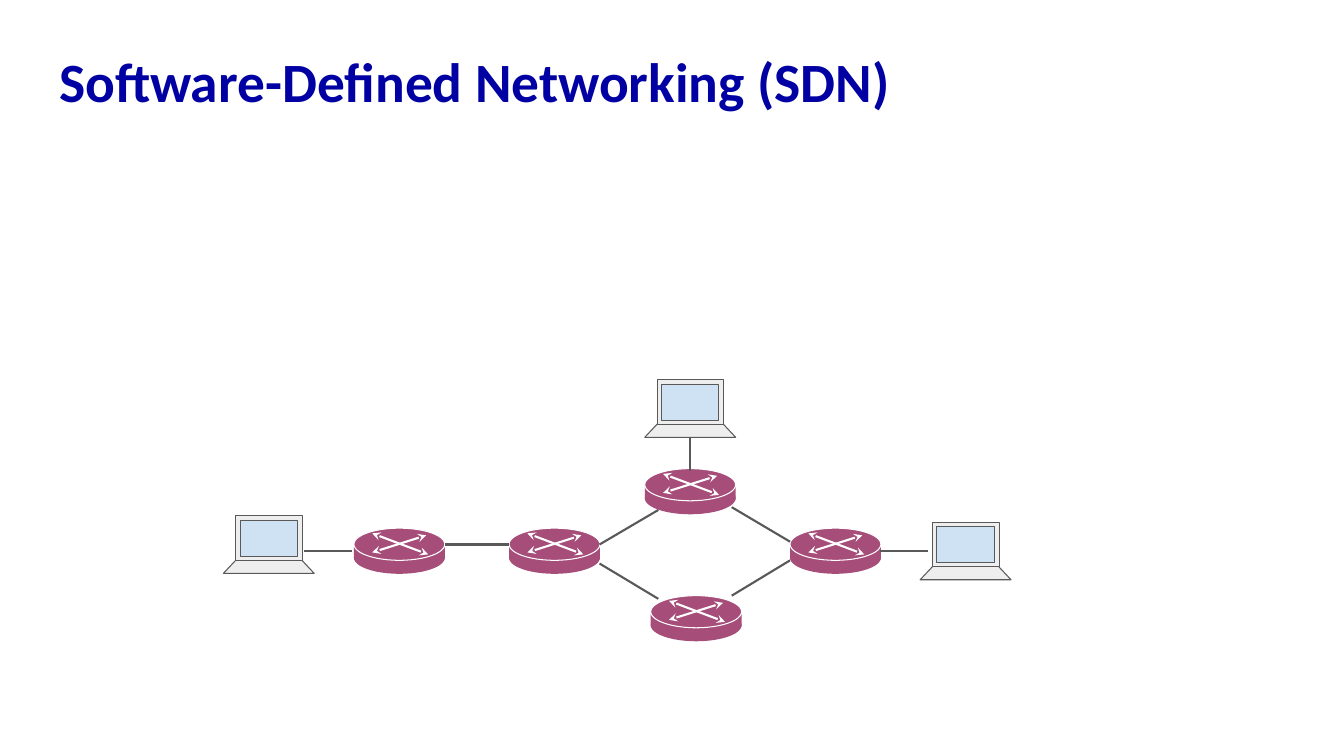
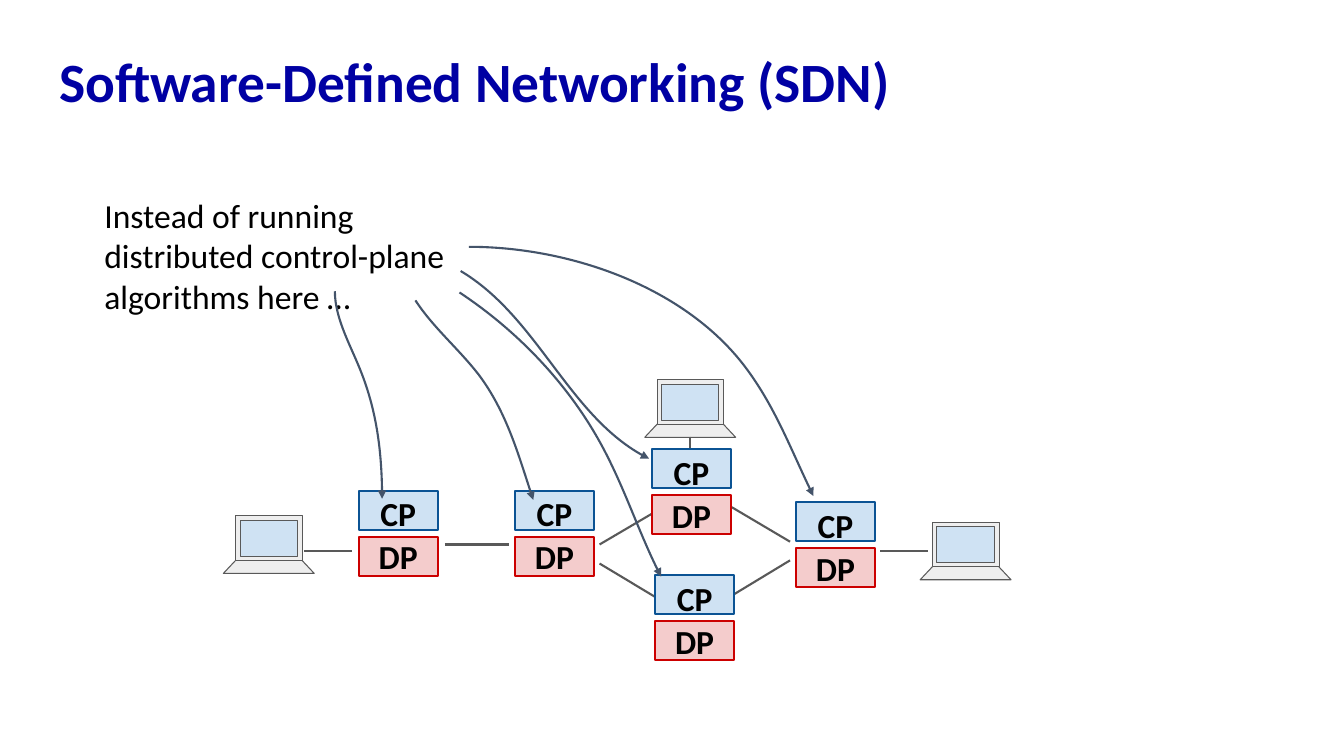
from lxml import etree
from pptx import Presentation
from pptx.dml.color import RGBColor
from pptx.enum.shapes import MSO_CONNECTOR, MSO_SHAPE
from pptx.enum.text import MSO_ANCHOR, MSO_AUTO_SIZE, PP_ALIGN
from pptx.oxml.ns import qn
from pptx.util import Cm, Pt

RECTANGLE = MSO_SHAPE.RECTANGLE
ROUNDED = MSO_SHAPE.ROUNDED_RECTANGLE
ELLIPSE = MSO_SHAPE.OVAL
TRIANGLE = MSO_SHAPE.ISOSCELES_TRIANGLE
STRAIGHT = MSO_CONNECTOR.STRAIGHT
MIDDLE, TOP = MSO_ANCHOR.MIDDLE, MSO_ANCHOR.TOP
LEFT, CENTER = PP_ALIGN.LEFT, PP_ALIGN.CENTER
NO_AUTOFIT = MSO_AUTO_SIZE.NONE
TITLE_ONLY = 5

FONT = "Calibri"
COLORS = {
    "title": "0000A3", "text": "000000", "white": "FFFFFF",
    "router": "A64D79", "link": "595959", "arrow": "44546A",
    "laptop": "EEEEEE", "blue": "CFE2F3", "blue_line": "0B5394",
    "red": "F4CCCC", "red_line": "CC0000",
}

# Content: all lengths in centimetres
TITLE = "Software-Defined Networking (SDN)"
TITLE_BOX = (1.16, 1.06, 31.55, 2.13)
NOTE = "Instead of running distributed control-plane algorithms here …"
NOTE_BOX = (2.3, 4.58, 9.91, 3.76)
INSET = 0.33

ROUTERS = [(12.83, 13.31), (16.25, 11.81), (16.4, 15.01),
           (19.91, 13.31), (8.92, 13.31)]
LAPTOPS = [(5.63, 13.0), (16.25, 9.57), (23.19, 13.16)]
LINKS = [
    (11.21, 13.72, 12.83, 13.72), (15.11, 13.72, 16.59, 12.85),
    (16.59, 15.09, 15.11, 14.2), (19.91, 13.65, 18.44, 12.78),
    (18.44, 15.01, 19.91, 14.12), (7.67, 13.89, 8.86, 13.89),
    (17.39, 11.0, 17.39, 11.86), (22.18, 13.89, 23.38, 13.89),
]
PLANE_STACKS = [(9.04, 12.37), (12.98, 12.37), (16.43, 11.32),
                (16.51, 14.5), (20.06, 12.66)]

# Parts of one device: preset, offset and size, then colours
ROUTER_PARTS = [
    (ELLIPSE, (0, 0.34, 2.29, 0.81), "router", None),
    (ROUNDED, (0, 0.41, 2.29, 0.41), "router", None),
    (ELLIPSE, (0, 0, 2.29, 0.81), "router", "white"),
]
ROUTER_ARROWS = [(1.87, 0.66, 0.46, 0.13), (1.82, 0.18, 0.46, 0.61)]
LAPTOP_PARTS = [
    (TRIANGLE, (0, 0.23, 2.29, 1.22), "laptop", "link"),
    (RECTANGLE, (0.31, 0, 1.68, 1.12), "laptop", "link"),
    (RECTANGLE, (0.42, 0.11, 1.45, 0.91), "blue", "link"),
]
# Label, offset from the stack top, fill, outline, line spacing
PLANES = [("DP", 1.16, "red", "red_line", 1.0),
          ("CP", 0, "blue", "blue_line", 1.15)]
PLANE_SIZE = (1.99, 0.98)

# Bezier curves: a start, then two control points and an end per piece
CURVES = [
    [(11.82, 6.22), (14.38, 6.22), (17.3, 7.24), (18.82, 9.3),
     (19.53, 10.26), (19.96, 11.4), (20.5, 12.5)],
    [(11.61, 6.83), (13.54, 7.98), (14.35, 10.57), (16.36, 11.56)],
    [(11.58, 7.37), (13.03, 8.33), (14.3, 9.65), (15.14, 11.18),
     (15.72, 12.24), (16.1, 13.44), (16.66, 14.53)],
    [(10.47, 7.57), (10.92, 8.26), (11.56, 8.79), (12.07, 9.45),
     (12.75, 10.36), (13.08, 11.51), (13.44, 12.6)],
    [(8.44, 7.34), (8.44, 8.05), (8.86, 8.74), (9.12, 9.42),
     (9.5, 10.41), (9.63, 11.51), (9.63, 12.57)],
]


def color(name):
    return RGBColor.from_string(COLORS[name])


def lengths(values):
    return [Cm(value) for value in values]


def write_text(shape, text, size=24, ink="text", bold=False, align=LEFT,
               anchor=TOP, spacing=1.0):
    frame = shape.text_frame
    frame.word_wrap = True
    frame.auto_size = NO_AUTOFIT
    frame.vertical_anchor = anchor
    frame.margin_left = frame.margin_right = Cm(INSET)
    frame.margin_top = frame.margin_bottom = Cm(INSET)
    paragraph = frame.paragraphs[0]
    paragraph.alignment = align
    paragraph.line_spacing = spacing
    run = paragraph.add_run()
    run.text = text
    run.font.name = FONT
    run.font.size = Pt(size)
    run.font.bold = bold
    run.font.color.rgb = color(ink)


def style_line(line, ink, width, head=None, tail=None):
    line.color.rgb = color(ink)
    line.width = Pt(width)
    for tag, arrowhead in (("a:headEnd", head), ("a:tailEnd", tail)):
        if arrowhead:
            end = etree.SubElement(line._get_or_add_ln(), qn(tag))
            end.set("type", arrowhead)


def add_box(shapes, preset, box, fill, outline=None, width=0.75):
    shape = shapes.add_shape(preset, *lengths(box))
    shape.shadow.inherit = False
    shape.fill.solid()
    shape.fill.fore_color.rgb = color(fill)
    if outline:
        style_line(shape.line, outline, width)
    else:
        shape.line.fill.background()
    return shape


def add_line(shapes, ends, ink, arrowhead=None):
    connector = shapes.add_connector(STRAIGHT, *lengths(ends))
    style_line(connector.line, ink, 1.5, arrowhead, arrowhead)
    etree.SubElement(connector._element.spPr, qn("a:effectLst"))


def add_device(slide, left, top, parts, arrows=()):
    shapes = slide.shapes.add_group_shape().shapes
    for preset, (x, y, width, height), fill, outline in parts:
        add_box(shapes, preset, (left + x, top + y, width, height), fill, outline)
    for x1, y1, x2, y2 in arrows:
        ends = (left + x1, top + y1, left + x2, top + y2)
        add_line(shapes, ends, "white", "stealth")


def add_plane_stack(slide, left, top):
    shapes = slide.shapes.add_group_shape().shapes
    for label, offset, fill, outline, spacing in PLANES:
        box = (left, top + offset, *PLANE_SIZE)
        plane = add_box(shapes, RECTANGLE, box, fill, outline, 1.5)
        write_text(plane, label, bold=True, align=CENTER, anchor=MIDDLE,
                   spacing=spacing)


def add_curve(slide, controls):
    start, end = lengths(controls[0]), lengths(controls[-1])
    builder = slide.shapes.build_freeform(*start)
    builder.add_line_segments([end], close=False)
    curve = builder.convert_to_shape()
    curve.shadow.inherit = False
    curve.fill.background()
    style_line(curve.line, "arrow", 1.5, tail="triangle")

    # Bend the straight segment into Bezier pieces
    segment = next(curve._element.iter(qn("a:lnTo")))
    outline = segment.getparent()
    outline.remove(segment)
    for first in range(1, len(controls), 3):
        piece = etree.SubElement(outline, qn("a:cubicBezTo"))
        for x, y in controls[first:first + 3]:
            point = etree.SubElement(piece, qn("a:pt"))
            point.set("x", str(Cm(x) - start[0]))
            point.set("y", str(Cm(y) - start[1]))


def add_network_slide(presentation, with_routers):
    slide = presentation.slides.add_slide(presentation.slide_layouts[TITLE_ONLY])
    title = slide.shapes.title
    title.left, title.top, title.width, title.height = lengths(TITLE_BOX)
    write_text(title, TITLE, size=39.6, ink="title", bold=True,
               anchor=MIDDLE, spacing=0.9)
    if with_routers:
        for left, top in ROUTERS:
            add_device(slide, left, top, ROUTER_PARTS, ROUTER_ARROWS)
    for left, top in LAPTOPS:
        add_device(slide, left, top, LAPTOP_PARTS)
    for ends in LINKS:
        add_line(slide.shapes, ends, "link")
    return slide


def main():
    presentation = Presentation()
    presentation.slide_width = Cm(33.87)
    presentation.slide_height = Cm(19.05)

    # Network of routers
    add_network_slide(presentation, with_routers=True)

    # Control and data planes in place of the routers
    slide = add_network_slide(presentation, with_routers=False)
    for left, top in PLANE_STACKS:
        add_plane_stack(slide, left, top)
    write_text(slide.shapes.add_textbox(*lengths(NOTE_BOX)), NOTE)
    for controls in CURVES:
        add_curve(slide, controls)

    presentation.save("out.pptx")


if __name__ == "__main__":
    main()
